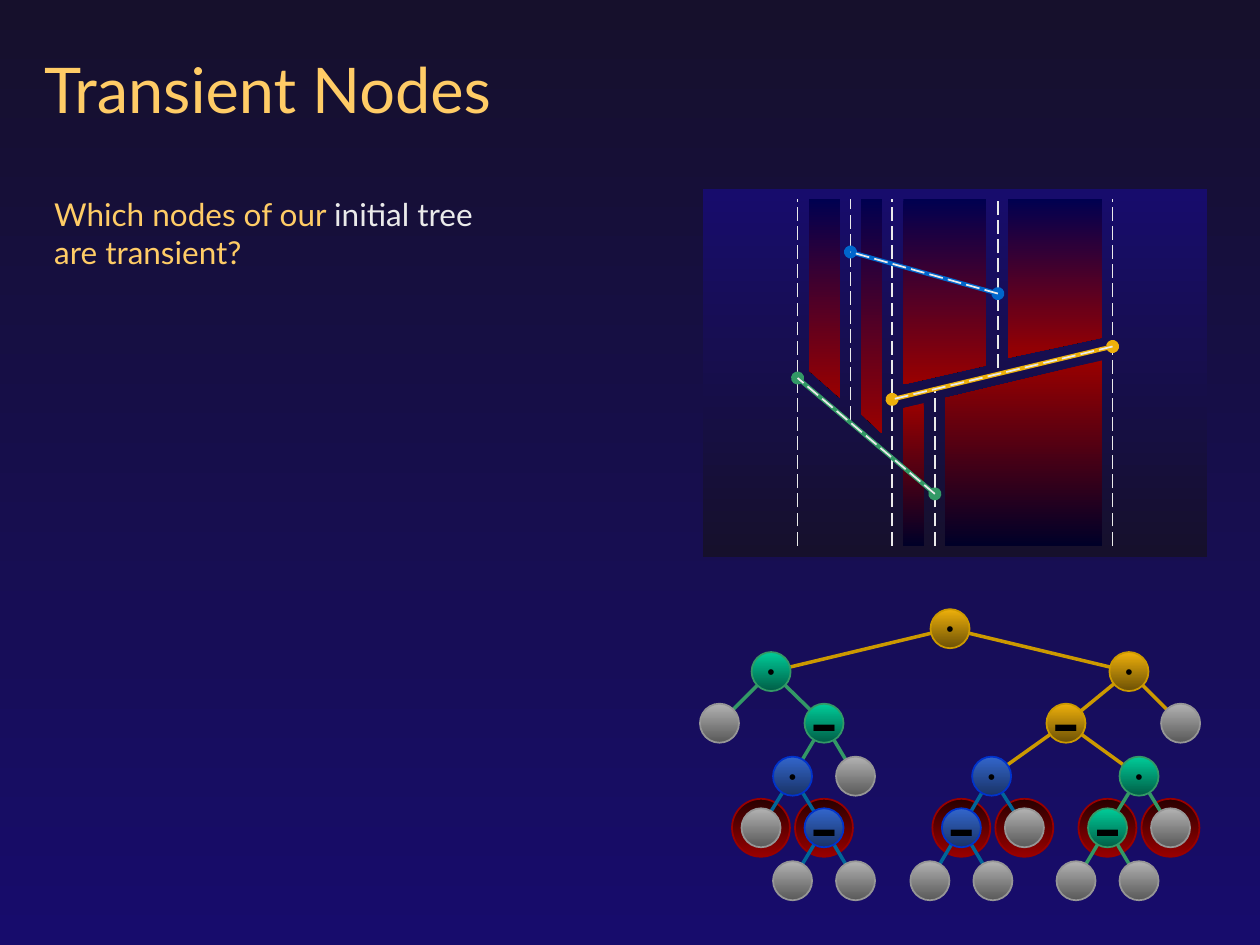
import pptx
import pptx.dml.color
import pptx.enum.dml
import pptx.enum.shapes
import pptx.enum.text
import pptx.oxml.ns
import pptx.oxml.xmlchemy
import pptx.shapes.autoshape
import pptx.util
from lxml import etree

Inches = pptx.util.Inches
Pt = pptx.util.Pt
RGBColor = pptx.dml.color.RGBColor
qn = pptx.oxml.ns.qn
OVAL = pptx.enum.shapes.MSO_SHAPE.OVAL
ALIGN = pptx.enum.text.PP_ALIGN
ANCHOR = pptx.enum.text.MSO_ANCHOR

GOLD_TEXT = RGBColor(0xFF, 0xCC, 0x66)
LIGHT = RGBColor(0xEA, 0xEA, 0xEA)
BLACK = RGBColor(0x00, 0x00, 0x00)
NIGHT = RGBColor(0x16, 0x10, 0x2C)
INDIGO = RGBColor(0x17, 0x0C, 0x6C)
NAVY = RGBColor(0x00, 0x00, 0x50)
DEEP_NAVY = RGBColor(0x00, 0x00, 0x28)
RED = RGBColor(0x99, 0x00, 0x00)
DARK_RED = RGBColor(0x28, 0x00, 0x00)
BLUE_SEGMENT = RGBColor(0x00, 0x66, 0xCC)
BLUE_EDGE = RGBColor(0x00, 0x66, 0x99)
GREEN = RGBColor(0x33, 0x99, 0x66)
YELLOW = RGBColor(0xEE, 0xB0, 0x0B)
OCHRE = RGBColor(0xCC, 0x99, 0x00)

# Node styles: gradient top, gradient bottom, outline
LEAF_STYLE = (RGBColor(0xB2, 0xB2, 0xB2), RGBColor(0x59, 0x59, 0x59),
              RGBColor(0x96, 0x96, 0x96))
NODE_STYLES = {
    OCHRE: (YELLOW, RGBColor(0x6D, 0x51, 0x05), OCHRE),
    GREEN: (RGBColor(0x00, 0xCC, 0x99), RGBColor(0x00, 0x5E, 0x46), GREEN),
    BLUE_EDGE: (RGBColor(0x33, 0x66, 0xCC), RGBColor(0x19, 0x33, 0x66),
                RGBColor(0x00, 0x33, 0xCC)),
}


def paint(target, top, bottom, outline=None):
    """Fill a shape or background from top to bottom, and outline a shape."""
    target.fill.gradient()
    target.fill.gradient_angle = 270
    for stop, color in zip(target.fill.gradient_stops, (top, bottom)):
        stop.color.rgb = color
    if isinstance(target, pptx.shapes.autoshape.Shape):
        target.shadow.inherit = False
        if outline is None:
            target.line.fill.background()
        else:
            target.line.color.rgb = outline
            target.line.width = Pt(1)


def connect(shapes, start, end, color, width, dashed=False, ovals=False):
    """Draw a straight line between two points given in inches."""
    points = [Inches(value) for value in (*start, *end)]
    connector = shapes.add_connector(
        pptx.enum.shapes.MSO_CONNECTOR.STRAIGHT, *points)
    connector.line.color.rgb = color
    connector.line.width = Pt(width)
    if dashed:
        connector.line.dash_style = pptx.enum.dml.MSO_LINE.LONG_DASH
    properties = connector._element.spPr
    if ovals:
        for end_name in ("a:headEnd", "a:tailEnd"):
            etree.SubElement(properties.find(qn("a:ln")), qn(end_name), type="oval")
    etree.SubElement(properties, qn("a:effectLst"))


presentation = pptx.Presentation()
presentation.slide_width = Inches(10)
presentation.slide_height = Inches(7.5)
slide = presentation.slides.add_slide(presentation.slide_layouts[1])
paint(slide.background, NIGHT, INDIGO)

# Title and question
title = slide.shapes.title
body = slide.placeholders[1]
texts = [
    (title, (0.25, 0.33, 9.33, 0.75), ANCHOR.MIDDLE, 36, 0,
     [("Transient Nodes", GOLD_TEXT)]),
    (body, (0.33, 1.5, 3.69, 0.83), ANCHOR.TOP, 18, 2.2,
     [("Which nodes of our ", GOLD_TEXT), ("initial tree", LIGHT),
      (" are transient?", GOLD_TEXT)]),
]
for shape, box, anchor, size, space_after, runs in texts:
    shape.left, shape.top, shape.width, shape.height = map(Inches, box)
    frame_format = {"word_wrap": True, "vertical_anchor": anchor,
                    "auto_size": pptx.enum.text.MSO_AUTO_SIZE.NONE}
    for name, value in frame_format.items():
        setattr(shape.text_frame, name, value)
    paragraph = shape.text_frame.paragraphs[0]
    paragraph_properties = paragraph._p.get_or_add_pPr()
    paragraph_properties.set("marL", "0")
    paragraph_properties.set("indent", "0")
    etree.SubElement(paragraph_properties, qn("a:buNone"))
    paragraph_format = {"alignment": ALIGN.LEFT, "space_before": Pt(0),
                        "space_after": Pt(space_after)}
    for name, value in paragraph_format.items():
        setattr(paragraph, name, value)
    for text, color in runs:
        run = paragraph.add_run()
        run.text = text
        run.font.name = "Lato"
        run.font.size = Pt(size)
        run.font.color.rgb = color

# Map panel and its trapezoids
panel = slide.shapes.add_shape(
    pptx.enum.shapes.MSO_SHAPE.RECTANGLE,
    Inches(5.58), Inches(1.5), Inches(4), Inches(2.92))
paint(panel, INDIGO, NIGHT)

MAP_TOP, MAP_BOTTOM = 1.58, 4.33
# left, right, slanted side at left, slanted side at right, flat side
trapezoids = [
    (6.42, 6.67, 2.94, 3.16, MAP_TOP),
    (6.83, 7, 3.28, 3.44, MAP_TOP),
    (7.17, 7.83, 3.05, 2.9, MAP_TOP),
    (8, 8.75, 2.84, 2.68, MAP_TOP),
    (7.17, 7.33, 3.24, 3.2, MAP_BOTTOM),
    (7.5, 8.75, 3.16, 2.86, MAP_BOTTOM),
]
for left, right, slant_left, slant_right, flat in trapezoids:
    builder = slide.shapes.build_freeform(Inches(left), Inches(flat))
    corners = [(left, slant_left), (right, slant_right), (right, flat)]
    builder.add_line_segments([(Inches(x), Inches(y)) for x, y in corners])
    colors = (NAVY, RED) if flat == MAP_TOP else (RED, DEEP_NAVY)
    paint(builder.convert_to_shape(), *colors)

# Rings around the transient nodes
for x in (8.79, 9.29, 7.63, 8.13, 6.04, 6.54):
    ring = slide.shapes.add_shape(
        OVAL, Inches(x - 0.23), Inches(6.34), Inches(0.46), Inches(0.46))
    paint(ring, DARK_RED, RED, RED)

# Vertical walls
walls = [(7.08, MAP_BOTTOM, MAP_TOP), (8.83, MAP_BOTTOM, MAP_TOP),
         (7.92, 2.92, MAP_TOP), (6.33, MAP_BOTTOM, MAP_TOP),
         (6.75, 3.33, MAP_TOP), (7.42, MAP_BOTTOM, 3.08)]
for x, bottom, top in walls:
    connect(slide.shapes, (x, bottom), (x, top), LIGHT, 1, dashed=True)

# Segments, wall crossings, and dashes along the segments
segments = [((7.92, 2.33), (6.75, 2), BLUE_SEGMENT),
            ((8.83, 2.75), (7.08, 3.17), YELLOW),
            ((7.42, 3.92), (6.33, 3), GREEN)]
crossings = [((7.08, 3.64), (7.08, 3.64), GREEN),
             ((7.08, 2.09), (7.08, 2.09), BLUE_SEGMENT)]
for start, end, color in segments + crossings:
    connect(slide.shapes, start, end, color, 2.5, ovals=True)
for start, end, color in segments:
    connect(slide.shapes, start, end, LIGHT, 1, dashed=True)

# Search tree: (x, level) -> family colour, symbol, x of both children
LEVELS = [4.99, 5.33, 5.74, 6.16, 6.57, 6.99]
POINT, SEGMENT = "•", "▬"
DIAMETER = 0.31
inner_nodes = {
    (7.54, 0): (OCHRE, POINT, (6.12, 8.96)),
    (6.12, 1): (GREEN, POINT, (5.71, 6.54)),
    (6.54, 2): (GREEN, SEGMENT, (6.29, 6.79)),
    (6.29, 3): (BLUE_EDGE, POINT, (6.04, 6.54)),
    (6.54, 4): (BLUE_EDGE, SEGMENT, (6.29, 6.79)),
    (8.96, 1): (OCHRE, POINT, (8.46, 9.37)),
    (8.46, 2): (OCHRE, SEGMENT, (7.87, 9.04)),
    (9.04, 3): (GREEN, POINT, (8.79, 9.29)),
    (7.87, 3): (BLUE_EDGE, POINT, (7.63, 8.13)),
    (7.63, 4): (BLUE_EDGE, SEGMENT, (7.38, 7.88)),
    (8.79, 4): (GREEN, SEGMENT, (8.54, 9.04)),
}
for (node_x, level), (family, symbol, children) in inner_nodes.items():
    shapes = slide.shapes.add_group_shape().shapes
    node_y = LEVELS[level]
    discs = []
    for child_x in children:
        child_y = LEVELS[level + 1]
        connect(shapes, (node_x, node_y), (child_x, child_y), family, 2)
        if (child_x, level + 1) not in inner_nodes:
            discs.append((child_x, child_y, LEAF_STYLE))
    discs.append((node_x, node_y, NODE_STYLES[family]))
    for x, y, style in discs:
        disc = shapes.add_shape(
            OVAL, Inches(x - DIAMETER / 2), Inches(y - DIAMETER / 2),
            Inches(DIAMETER), Inches(DIAMETER))
        paint(disc, *style)

    label = shapes.add_textbox(Inches(node_x - 0.21), Inches(node_y - 0.15),
                               Inches(0.42), Inches(0.3))
    label.text_frame.word_wrap = True
    paragraph = label.text_frame.paragraphs[0]
    paragraph.text = symbol
    paragraph.alignment = ALIGN.CENTER
    for name, value in {"name": "Arial", "size": Pt(12)}.items():
        setattr(paragraph.font, name, value)
    paragraph.font.color.rgb = BLACK

presentation.save("out.pptx")
